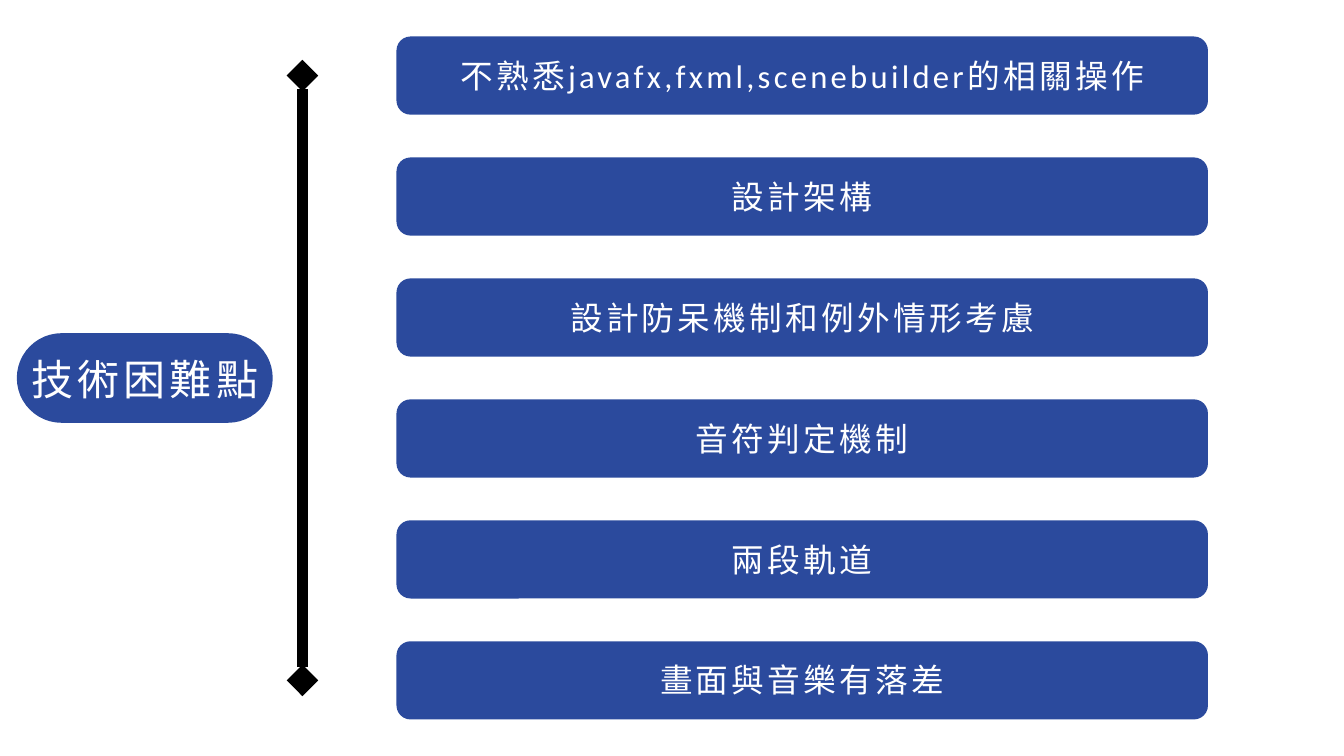
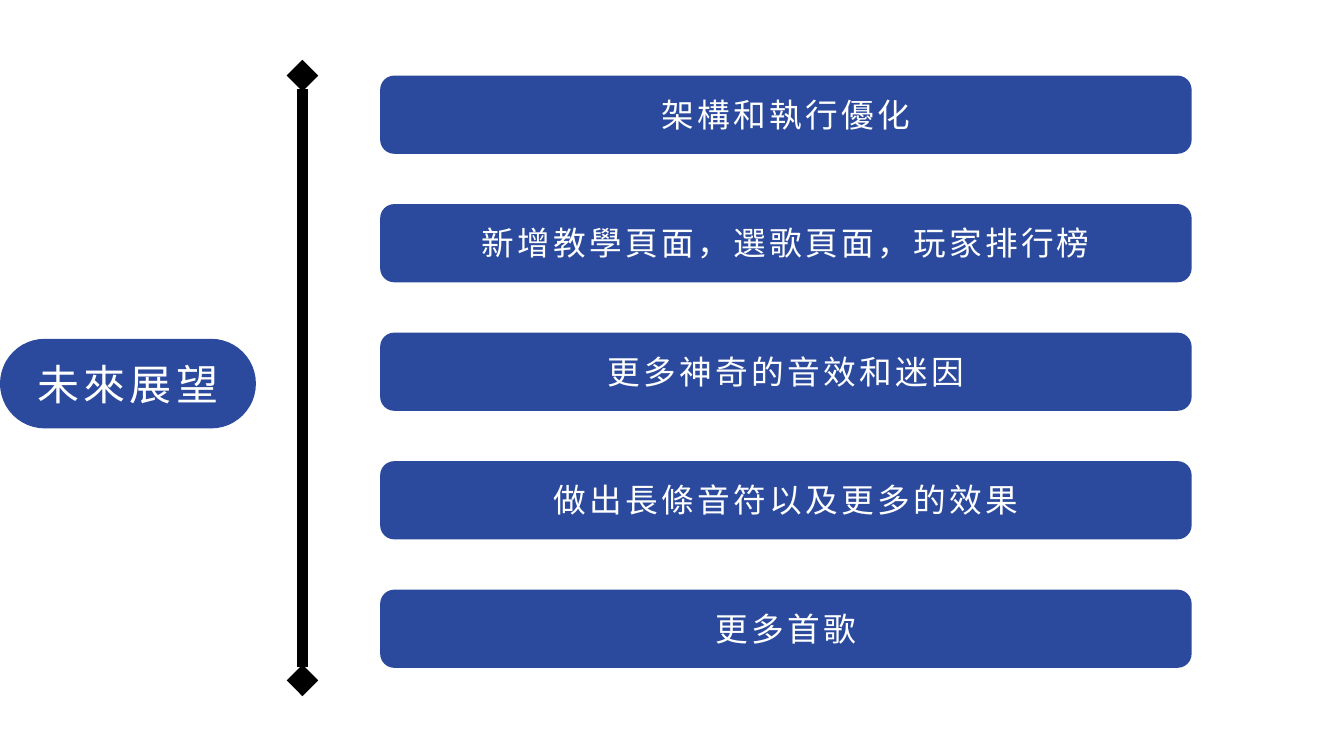
from dataclasses import dataclass

import lxml.etree
import pptx
import pptx.dml.color
import pptx.enum.shapes
import pptx.enum.text
import pptx.oxml.ns
import pptx.util

Pt = pptx.util.Pt
RGBColor = pptx.dml.color.RGBColor
qn = pptx.oxml.ns.qn


@dataclass(frozen=True)
class Theme:
    blue: RGBColor = RGBColor.from_string("2B4A9D")
    white: RGBColor = RGBColor.from_string("FFFFFF")
    black: RGBColor = RGBColor.from_string("000000")
    font: str = "Calibri"
    title_size: float = 45
    bar_size: float = 35
    line_spacing: float = 1.4
    letter_spacing: float = 0.1
    axis_width: float = 11.25


THEME = Theme()

SLIDE_WIDTH, SLIDE_HEIGHT = 1440, 810
PILL_WIDTH, PILL_HEIGHT = 274.2, 96
BAR_WIDTH, BAR_HEIGHT = 869.5, 83.8
AXIS_X, AXIS_MARGIN = 324, 81

# Each topic: title, left and top of its pill, left of the bars,
# tops of the first and last bar, and the points on the bars
TOPICS = [
    {
        "title": "技術困難點",
        "pill": (18, 357),
        "bar_left": 424.8,
        "bar_tops": (39.1, 687.1),
        "points": [
            "不熟悉javafx,fxml,scenebuilder的相關操作",
            "設計架構",
            "設計防呆機制和例外情形考慮",
            "音符判定機制",
            "兩段軌道",
            "畫面與音樂有落差",
        ],
    },
    {
        "title": "未來展望",
        "pill": (0, 363),
        "bar_left": 407.3,
        "bar_tops": (81, 631.8),
        "points": [
            "架構和執行優化",
            "新增教學頁面，選歌頁面，玩家排行榜",
            "更多神奇的音效和迷因",
            "做出長條音符以及更多的效果",
            "更多首歌",
        ],
    },
]


def apply_format(target, values):
    for attribute, value in values.items():
        setattr(target, attribute, value)


def write_label(holder, text, size, side_inset=0, top_inset=0):
    """Centred white text with wide letter spacing, hung from the top."""
    frame = holder.text_frame
    apply_format(frame, {
        "word_wrap": True,
        "auto_size": pptx.enum.text.MSO_AUTO_SIZE.NONE,
        "vertical_anchor": pptx.enum.text.MSO_ANCHOR.TOP,
        "margin_left": Pt(side_inset),
        "margin_right": Pt(side_inset),
        "margin_top": Pt(top_inset),
        "margin_bottom": 0,
    })
    paragraph = frame.paragraphs[0]
    apply_format(paragraph, {
        "alignment": pptx.enum.text.PP_ALIGN.CENTER,
        "line_spacing": Pt(size * THEME.line_spacing),
        "space_before": Pt(0),
    })
    run = paragraph.add_run()
    run.text = text
    apply_format(run.font, {"name": THEME.font, "size": Pt(size)})
    run.font.color.rgb = THEME.white
    # Letter spacing is stored in hundredths of a point
    spacing = round(size * THEME.letter_spacing * 100)
    for properties in holder.element.iter(qn("a:rPr")):
        properties.set("spc", str(spacing))


def add_rounded(slide, left, top, width, height, roundness):
    rounded = slide.shapes.add_shape(
        pptx.enum.shapes.MSO_SHAPE.ROUNDED_RECTANGLE,
        Pt(left), Pt(top), Pt(width), Pt(height))
    rounded.adjustments[0] = roundness
    rounded.shadow.inherit = False
    rounded.fill.solid()
    rounded.fill.fore_color.rgb = THEME.blue
    rounded.line.fill.background()
    return rounded


def add_title_pill(slide, text, left, top):
    pill = add_rounded(slide, left, top, PILL_WIDTH, PILL_HEIGHT, 0.5)
    title = slide.shapes.title
    apply_format(title, {
        "left": Pt(left + 8),
        "top": Pt(top + 12.4),
        "width": Pt(PILL_WIDTH - 16),
        "height": Pt(59),
    })
    write_label(title, text, THEME.title_size)
    # The title lies in front of its pill
    pill.element.addnext(title.element)


def add_bars(slide, points, left, tops):
    first, last = tops
    pitch = (last - first) / (len(points) - 1)
    for row, point in enumerate(points):
        bar = add_rounded(
            slide, left, first + row * pitch, BAR_WIDTH, BAR_HEIGHT, 0.18)
        write_label(bar, point, THEME.bar_size, side_inset=20, top_inset=9)


def add_axis(slide):
    """Vertical line with a diamond at each end."""
    axis = slide.shapes.add_connector(
        pptx.enum.shapes.MSO_CONNECTOR.STRAIGHT,
        Pt(AXIS_X), Pt(AXIS_MARGIN),
        Pt(AXIS_X), Pt(SLIDE_HEIGHT - AXIS_MARGIN))
    axis.line.color.rgb = THEME.black
    axis.line.width = Pt(THEME.axis_width)
    properties = axis.element.spPr
    stroke = properties.find(qn("a:ln"))
    for end in ("a:headEnd", "a:tailEnd"):
        lxml.etree.SubElement(stroke, qn(end), type="diamond")
    lxml.etree.SubElement(properties, qn("a:effectLst"))


def main():
    deck = pptx.Presentation()
    deck.slide_width = Pt(SLIDE_WIDTH)
    deck.slide_height = Pt(SLIDE_HEIGHT)
    title_only = deck.slide_layouts[5]

    for topic in TOPICS:
        slide = deck.slides.add_slide(title_only)
        add_title_pill(slide, topic["title"], *topic["pill"])
        add_bars(slide, topic["points"], topic["bar_left"], topic["bar_tops"])
        add_axis(slide)

    deck.save("out.pptx")


if __name__ == "__main__":
    main()
